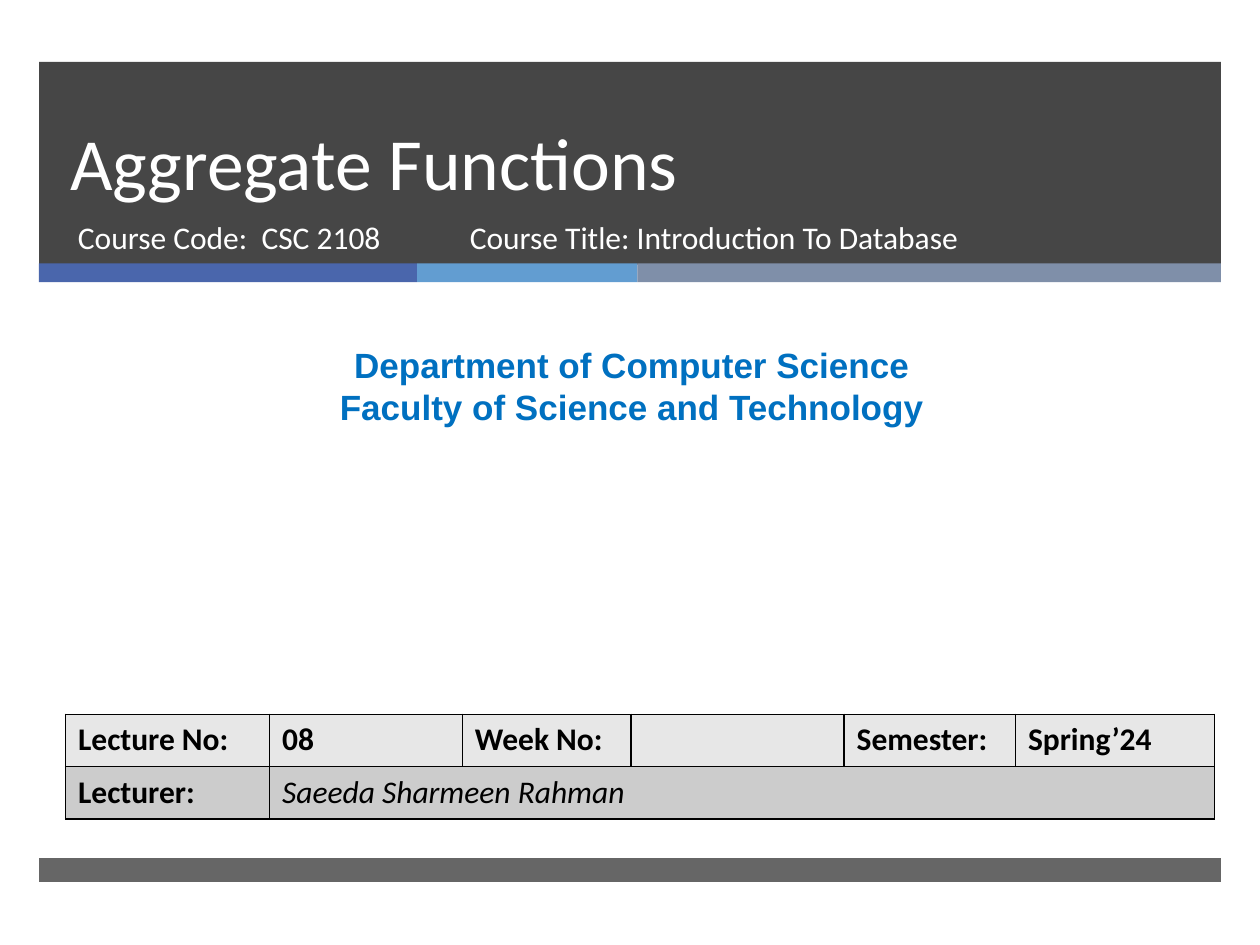
"""Build the title slide of a database lecture on aggregate functions."""
import pptx
import pptx.dml.color
import pptx.enum.shapes
import pptx.enum.text
import pptx.oxml
import pptx.oxml.ns
import pptx.util
from dataclasses import dataclass

Inches = pptx.util.Inches
Pt = pptx.util.Pt
Align = pptx.enum.text.PP_ALIGN
Anchor = pptx.enum.text.MSO_ANCHOR


@dataclass(frozen=True)
class Theme:
    heading: str = "Calibri"
    department: str = "Arial"
    title_size: int = 42
    title_spacing: int = 46
    department_size: int = 20
    body_size: int = 18
    white: str = "FFFFFF"
    black: str = "000000"
    blue: str = "0070C0"
    band: str = "262626"
    accents: tuple = ("4A66AC", "629DD1", "7F8FA9")
    rows: tuple = ("E7E7E7", "CCCCCC")


THEME = Theme()

TITLE = ["Aggregate Functions"]
COURSE_CODE = ["Course Code:  CSC 2108"]
COURSE_TITLE = ["Course Title: Introduction To Database"]
DEPARTMENT = ["Department of Computer Science", "Faculty of Science and Technology"]
LECTURE_ROWS = [
    ["Lecture No:", "08", "Week No:", "", "Semester:", "Spring’24"],
    ["Lecturer:", "Saeeda Sharmeen Rahman", "", "", "", ""],
]

BAND_LEFT, BAND_WIDTH = 0.31, 9.38
STRIPE_TOP, STRIPE_HEIGHT = 2.09, 0.15
STRIPE_WIDTHS = [3, 1.75, 4.63]
TABLE_LEFT, TABLE_TOP, ROW_HEIGHT = 0.52, 5.67, 0.415
COLUMN_WIDTHS = [1.62, 1.53, 1.34, 1.69, 1.36, 1.58]


def rgb(color):
    return pptx.dml.color.RGBColor.from_string(color)


def add_bar(slide, box, color, opacity=100):
    shape = slide.shapes.add_shape(
        pptx.enum.shapes.MSO_SHAPE.RECTANGLE, *map(Inches, box))
    shape.shadow.inherit = False
    shape.fill.solid()
    shape.fill.fore_color.rgb = rgb(color)
    shape.line.fill.background()
    if opacity < 100:
        fill_color = shape.fill._xPr.find(".//" + pptx.oxml.ns.qn("a:srgbClr"))
        fill_color.append(pptx.oxml.parse_xml(
            f'<a:alpha {pptx.oxml.ns.nsdecls("a")} val="{opacity * 1000}"/>'))


def style(paragraph, font, size, color, bold=False, italic=False):
    for run in paragraph.runs:
        run.font.name = font
        run.font.size = Pt(size)
        run.font.color.rgb = rgb(color)
        run.font.bold = bold
        run.font.italic = italic


def add_text(slide, box, lines, font, size, color, bold=False,
             align=Align.LEFT, anchor=Anchor.TOP, spacing=None):
    text_frame = slide.shapes.add_textbox(*map(Inches, box)).text_frame
    text_frame.word_wrap = True
    text_frame.vertical_anchor = anchor
    text_frame.text = "\n".join(lines)
    for paragraph in text_frame.paragraphs:
        paragraph.alignment = align
        if spacing:
            paragraph.line_spacing = Pt(spacing)
        style(paragraph, font, size, color, bold)


def set_borders(cell, color):
    properties = cell._tc.get_or_add_tcPr()
    for index, side in enumerate(("lnL", "lnR", "lnT", "lnB")):
        properties.insert(index, pptx.oxml.parse_xml(
            f'<a:{side} {pptx.oxml.ns.nsdecls("a")} w="{Pt(1)}"><a:solidFill>'
            f'<a:srgbClr val="{color}"/></a:solidFill></a:{side}>'))


def add_lecture_table(slide):
    row_count = len(LECTURE_ROWS)
    table = slide.shapes.add_table(
        row_count, len(COLUMN_WIDTHS), Inches(TABLE_LEFT), Inches(TABLE_TOP),
        Inches(sum(COLUMN_WIDTHS)), Inches(ROW_HEIGHT * row_count)).table
    for column, width in zip(table.columns, COLUMN_WIDTHS):
        column.width = Inches(width)
    for row_index, (values, fill) in enumerate(zip(LECTURE_ROWS, THEME.rows)):
        for column_index, value in enumerate(values):
            cell = table.cell(row_index, column_index)
            cell.fill.solid()
            cell.fill.fore_color.rgb = rgb(fill)
            set_borders(cell, THEME.black)
            cell.text_frame.text = value
            is_name = row_index == 1 and column_index == 1
            style(cell.text_frame.paragraphs[0], THEME.heading, THEME.body_size,
                  THEME.black, bold=not is_name, italic=is_name)
    table.cell(1, 1).merge(table.cell(1, len(COLUMN_WIDTHS) - 1))


def main():
    presentation = pptx.Presentation()
    presentation.slide_width = Inches(10)
    presentation.slide_height = Inches(7.5)
    slide = presentation.slides.add_slide(presentation.slide_layouts[6])

    add_bar(slide, (BAND_LEFT, 0.49, BAND_WIDTH, 1.61), THEME.band, 85)
    left = BAND_LEFT
    for width, color in zip(STRIPE_WIDTHS, THEME.accents):
        add_bar(slide, (left, STRIPE_TOP, width, STRIPE_HEIGHT), color)
        left += width
    add_bar(slide, (BAND_LEFT, 6.81, BAND_WIDTH, 0.19), THEME.band, 70)

    add_text(slide, (0.46, 0.49, 8.54, 1.19), TITLE, THEME.heading,
             THEME.title_size, THEME.white, anchor=Anchor.BOTTOM,
             spacing=THEME.title_spacing)
    for box, lines in (((0.52, 1.68, 3.05, 0.53), COURSE_CODE),
                       ((3.63, 1.68, 4.55, 0.53), COURSE_TITLE)):
        add_text(slide, box, lines, THEME.heading, THEME.body_size, THEME.white)
    add_text(slide, (0.08, 2.68, 9.87, 0.77), DEPARTMENT, THEME.department,
             THEME.department_size, THEME.blue, bold=True, align=Align.CENTER)
    add_lecture_table(slide)
    presentation.save("out.pptx")


if __name__ == "__main__":
    main()
